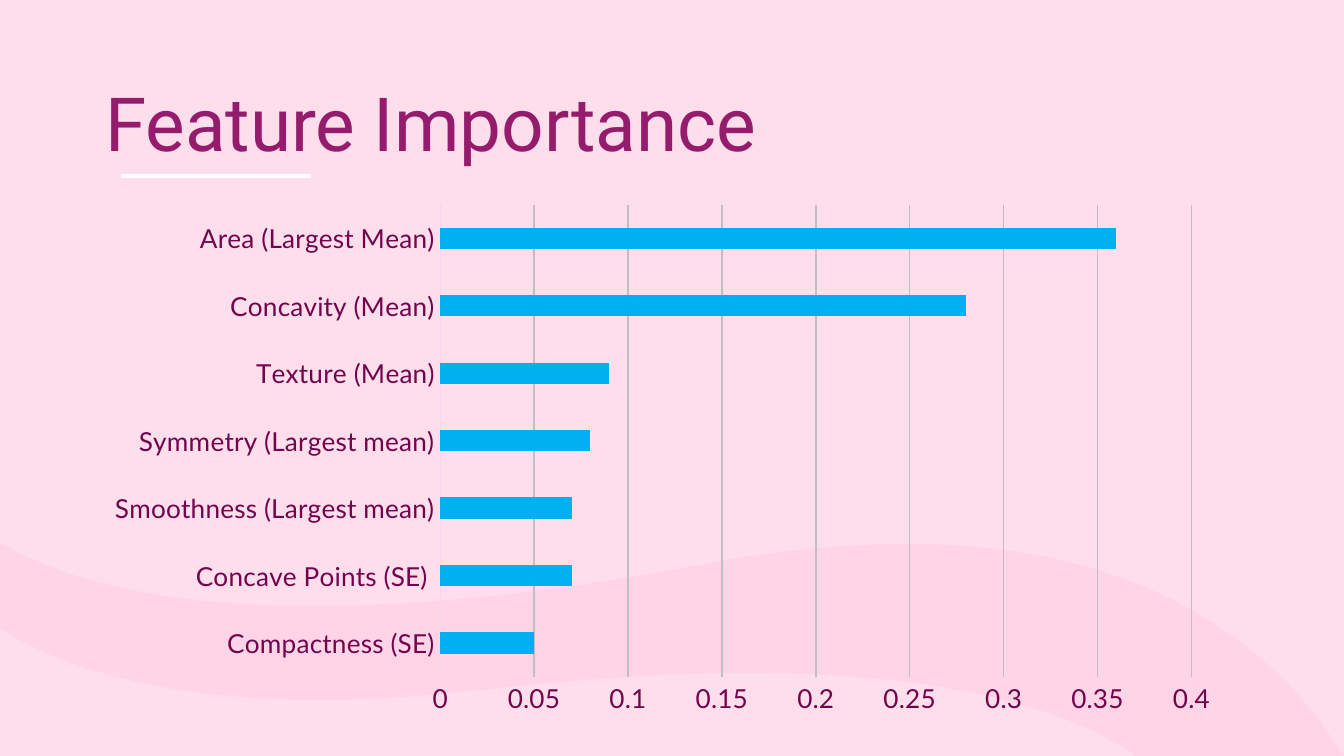
from pptx import Presentation
from pptx.chart.data import CategoryChartData
from pptx.dml.color import RGBColor
from pptx.enum.chart import XL_CHART_TYPE, XL_TICK_MARK
from pptx.enum.shapes import MSO_CONNECTOR
from pptx.enum.text import MSO_ANCHOR
from pptx.oxml.ns import qn
from pptx.util import Inches, Pt
from lxml import etree

EMU_PER_PX = 914400 / 134.4

IMPORTANCE = {
    "Compactness (SE)": 0.05,
    "Concave Points (SE) ": 0.07,
    "Smoothness (Largest mean)": 0.07,
    "Symmetry (Largest mean)": 0.08,
    "Texture (Mean)": 0.09,
    "Concavity (Mean)": 0.28,
    "Area (Largest Mean)": 0.36,
}

# Relative to the wave's box: one point is a straight segment,
# three are the two control points and the end of a curve.
WAVE_START = (0, 0)
WAVE_SEGMENTS = [
    [(0, 86)],
    [(55, 121), (153, 158), (322, 158)],
    [(372, 158), (427, 154), (490, 147)],
    [(587, 137), (673, 131), (748, 131)],
    [(946, 131), (1072, 166), (1141, 217)],
    [(1347, 217)],
    [(1340, 207), (1332, 196), (1325, 185)],
    [(1241, 72), (1107, 2), (908, 2)],
    [(848, 2), (783, 8), (711, 21)],
    [(575, 47), (439, 64), (315, 64)],
    [(191, 64), (80, 47), (0, 0)],
]


def px(length):
    return round(length * EMU_PER_PX)


def color(hex_string):
    return RGBColor.from_string(hex_string)


def style_font(font, size, name, hex_string):
    font.size = Pt(size)
    font.name = name
    font.color.rgb = color(hex_string)


def bend_segments(shape, segments):
    """Turn the straight segments that have control points into curves."""
    lines = list(shape._element.iter(qn("a:lnTo")))
    for line, points in zip(lines, segments):
        if len(points) == 3:
            line.tag = qn("a:cubicBezTo")
            end = line[0]
            for x, y in points[:2]:
                control = etree.Element(qn("a:pt"), x=str(px(x)), y=str(px(y)))
                end.addprevious(control)


def add_wave(slide, left, top):
    start_x, start_y = WAVE_START
    builder = slide.shapes.build_freeform(
        px(left + start_x), px(top + start_y), scale=1.0)
    ends = [points[-1] for points in WAVE_SEGMENTS]
    builder.add_line_segments(
        [(px(left + x), px(top + y)) for x, y in ends], close=True)
    wave = builder.convert_to_shape()
    bend_segments(wave, WAVE_SEGMENTS)
    wave.shadow.inherit = False
    wave.fill.solid()
    wave.fill.fore_color.rgb = color("FFD4E6")
    wave.line.fill.background()


def add_heading(slide, left, top, width, height):
    """Add the title with its short white rule below."""
    rule_left, rule_top, rule_width = left + 29, top + 97, 190
    rule = slide.shapes.add_connector(
        MSO_CONNECTOR.STRAIGHT, px(rule_left), px(rule_top),
        px(rule_left + rule_width), px(rule_top))
    rule.line.color.rgb = color("FFFFFF")
    rule.line.width = Pt(2.25)
    etree.SubElement(rule._element.spPr, qn("a:effectLst"))

    title = slide.shapes.add_textbox(px(left), px(top), px(width), px(height))
    frame = title.text_frame
    frame.word_wrap = True
    frame.vertical_anchor = MSO_ANCHOR.MIDDLE
    frame.margin_left = frame.margin_right = Inches(0.1)
    frame.margin_top = frame.margin_bottom = Inches(0.1)
    run = frame.paragraphs[0].add_run()
    run.text = "Feature Importance"
    style_font(run.font, 40, "Roboto", "951B6C")


def add_importance_chart(slide, left, top, width, height):
    data = CategoryChartData()
    data.categories = list(IMPORTANCE)
    data.add_series("Series 1", list(IMPORTANCE.values()))
    chart = slide.shapes.add_chart(
        XL_CHART_TYPE.BAR_CLUSTERED, px(left), px(top), px(width), px(height),
        data).chart
    chart.has_legend = False
    chart.has_title = False
    style_font(chart.font, 14, "Lato", "72044D")

    for axis in (chart.category_axis, chart.value_axis):
        axis.major_tick_mark = XL_TICK_MARK.NONE
        axis.minor_tick_mark = XL_TICK_MARK.NONE
        style_font(axis.tick_labels.font, 14, "Lato", "72044D")
    category_line = chart.category_axis.format.line
    category_line.color.rgb = color("F7D5EC")
    category_line.width = Pt(0.75)

    value_axis = chart.value_axis
    value_axis.minimum_scale = 0
    value_axis.maximum_scale = 0.4
    value_axis.major_unit = 0.05
    value_axis.format.line.fill.background()
    value_axis.has_major_gridlines = True
    grid_line = value_axis.major_gridlines.format.line
    grid_line.color.rgb = color("BFBFBF")
    grid_line.width = Pt(0.75)

    plot = chart.plots[0]
    plot.gap_width = 219
    plot.vary_by_categories = False
    bars = plot.series[0].format.fill
    bars.solid()
    bars.fore_color.rgb = color("00B0F0")


def main():
    presentation = Presentation()
    presentation.slide_width = px(1344)
    presentation.slide_height = px(756)
    slide = presentation.slides.add_slide(presentation.slide_layouts[6])
    slide.background.fill.solid()
    slide.background.fill.fore_color.rgb = color("FFDEEC")
    add_wave(slide, -1, 542)
    add_heading(slide, 92, 79, 1234, 85)
    add_importance_chart(slide, 92, 194, 1141, 531)
    presentation.save("out.pptx")


if __name__ == "__main__":
    main()
